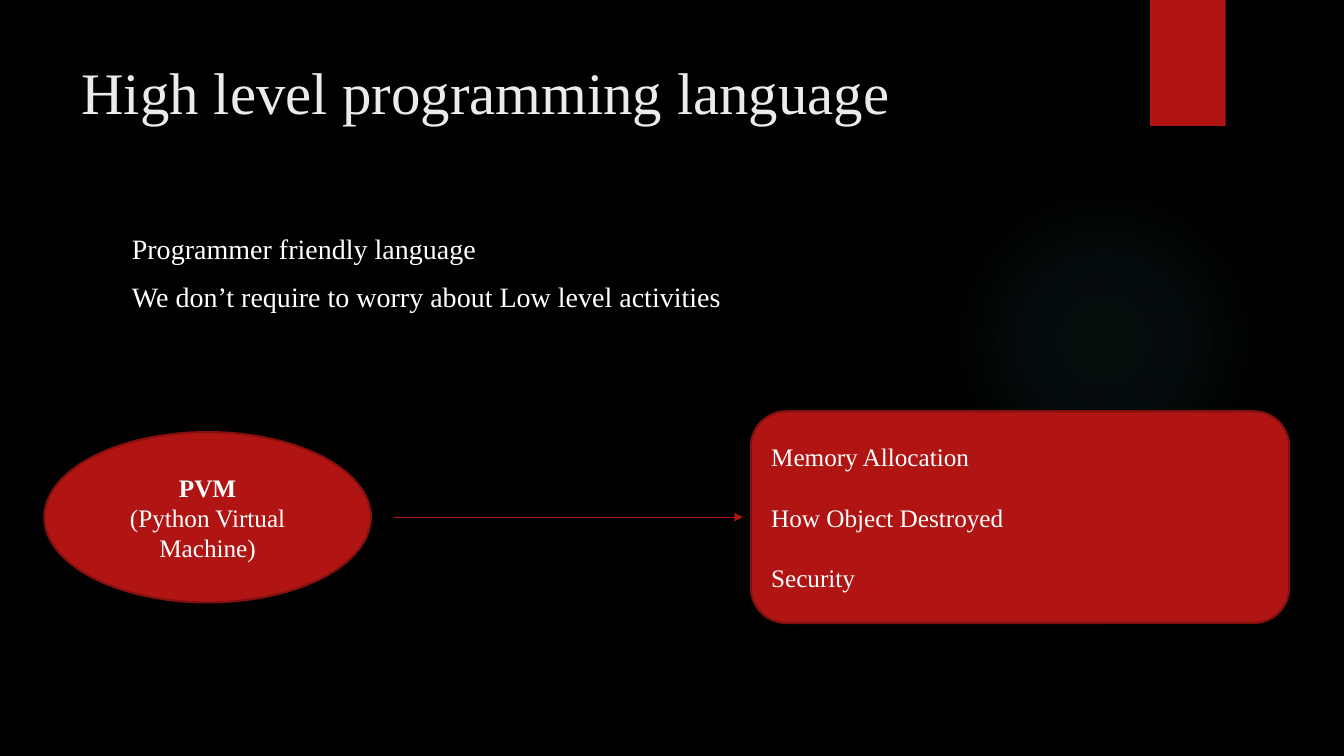
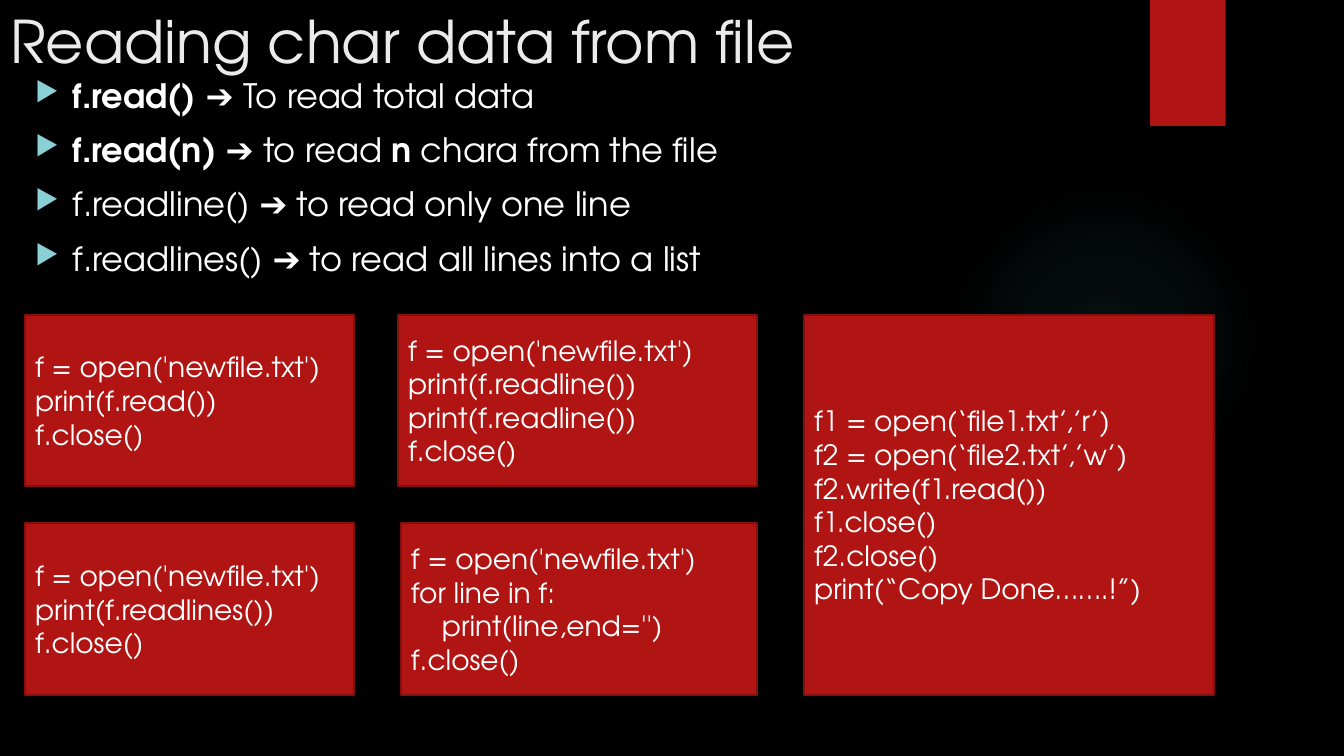
"""Build two dark slides about Python as a language and reading text files."""
from dataclasses import dataclass

from pptx import Presentation
from pptx.dml.color import RGBColor
from pptx.enum.shapes import MSO_CONNECTOR, MSO_SHAPE
from pptx.enum.text import MSO_ANCHOR, MSO_AUTO_SIZE, PP_ALIGN
from pptx.oxml import parse_xml
from pptx.oxml.ns import nsdecls, qn
from pptx.util import Pt


@dataclass(frozen=True)
class Theme:
    """Colours, fonts and type sizes of the presentation."""
    background: str = "000000"
    accent: str = "B01513"
    outline: str = "82100E"
    glow: str = "50B9C1"
    bullet: str = "8AD0D6"
    title: str = "EBEBEB"
    text: str = "FFFFFF"
    serif: str = "Times New Roman"
    sans: str = "TeX Gyre Adventor"
    title_size: int = 42
    list_size: int = 24
    body_size: int = 20
    label_size: int = 18


THEME = Theme()


def rgb(value):
    """Return the colour for a hex string."""
    return RGBColor.from_string(value)


def drawing(markup):
    """Return an element in the drawing namespace."""
    name, rest = markup.split(" ", 1)
    return parse_xml(f"{name} {nsdecls('a')} {rest}")


def style_font(font, name, size, color):
    """Set the face, size and colour of a font."""
    font.name, font.size = name, Pt(size)
    font.color.rgb = rgb(color)


def add_bullet(paragraph):
    """Give a paragraph a hanging triangle bullet."""
    properties = paragraph._p.get_or_add_pPr()
    properties.set("marL", str(Pt(27)))
    properties.set("indent", str(-Pt(27)))
    for markup in (
        f'<a:buClr ><a:srgbClr val="{THEME.bullet}"/></a:buClr>',
        '<a:buSzPct val="80000"/>',
        '<a:buChar char="▶"/>',
    ):
        properties.append(drawing(markup))


def write(shape, lines, face, size, gap=0, align=PP_ALIGN.LEFT, bullets=False,
          anchor=MSO_ANCHOR.TOP):
    """Write one paragraph per line; text between double stars is bold."""
    frame = shape.text_frame
    frame.word_wrap = True
    frame.vertical_anchor = anchor
    frame.text = "\n".join(lines)
    for index, (paragraph, line) in enumerate(zip(frame.paragraphs, lines)):
        if bullets:
            add_bullet(paragraph)
        paragraph.alignment = align
        if index:
            paragraph.space_before = Pt(gap)
        if "**" in line:
            paragraph.clear()
            for position, part in enumerate(line.split("**")):
                if part:
                    run = paragraph.add_run()
                    run.text = part
                    run.font.bold = position % 2 == 1
        for run in paragraph.runs:
            style_font(run.font, face, size, THEME.text)


def add_panel(slide, kind, box, outline=THEME.outline):
    """Add a red shape with an optional outline."""
    shape = slide.shapes.add_shape(kind, *map(Pt, box))
    shape.shadow.inherit = False
    shape.fill.solid()
    shape.fill.fore_color.rgb = rgb(THEME.accent)
    if outline:
        shape.line.color.rgb = rgb(outline)
        shape.line.width = Pt(1.5)
    else:
        shape.line.fill.background()
    return shape


def add_glow(slide, box):
    """Add a faint circle that fades outwards."""
    shape = add_panel(slide, MSO_SHAPE.OVAL, box, outline=None)
    stops = "".join(
        f'<a:gs pos="{place * 1000}"><a:srgbClr val="{THEME.glow}">'
        f'<a:alpha val="{alpha * 1000}"/></a:srgbClr></a:gs>'
        for place, alpha in ((0, 7), (36, 6), (69, 0)))
    gradient = drawing(
        f'<a:gradFill rotWithShape="1"><a:gsLst>{stops}</a:gsLst><a:path path="circle">'
        '<a:fillToRect l="50000" t="50000" r="50000" b="50000"/></a:path></a:gradFill>')
    properties = shape.element.spPr
    properties.replace(properties.find(qn("a:solidFill")), gradient)
    return shape


def add_arrow(slide, start, end):
    """Add a thin red arrow between two points."""
    connector = slide.shapes.add_connector(MSO_CONNECTOR.STRAIGHT, *map(Pt, start + end))
    connector.line.color.rgb = rgb(THEME.accent)
    connector.line.width = Pt(0.75)
    properties = connector.element.spPr
    properties.find(qn("a:ln")).append(drawing('<a:tailEnd type="triangle"/>'))
    properties.append(drawing("<a:effectLst />"))


def add_text(slide, box, lines, face, size, **options):
    """Add a text box."""
    write(slide.shapes.add_textbox(*map(Pt, box)), lines, face, size, **options)


def add_title_slide(presentation, layout, title, face, box):
    """Add a slide with a placed and formatted title."""
    slide = presentation.slides.add_slide(layout)
    shape = slide.shapes.title
    shape.left, shape.top, shape.width, shape.height = map(Pt, box)
    frame = shape.text_frame
    frame.text = title
    frame.auto_size = MSO_AUTO_SIZE.NONE
    frame.vertical_anchor = MSO_ANCHOR.TOP
    paragraph = frame.paragraphs[0]
    paragraph.alignment = PP_ALIGN.LEFT
    style_font(paragraph.runs[0].font, face, THEME.title_size, THEME.title)
    return slide


def decorate_layout(layout, slide):
    """Give the layout its background, glow and red tab."""
    layout.background.fill.solid()
    layout.background.fill.fore_color.rgb = rgb(THEME.background)
    glow = add_glow(slide, (677.5, 131.8, 221.8, 221.8))
    tab = add_panel(slide, MSO_SHAPE.RECTANGLE, (821.5, 0, 54, 90), outline=None)
    for number, shape in enumerate((glow, tab), start=100):
        shape.element.nvSpPr.cNvPr.set("id", str(number))
        layout.shapes.element.append(shape.element)


def fill_language_slide(slide):
    """Show what the virtual machine takes care of."""
    add_text(slide, (87.1, 162, 704, 330.5), [
        "Programmer friendly language",
        "We don’t require to worry about Low level activities",
    ], THEME.serif, THEME.body_size, gap=10)
    machine = add_panel(slide, MSO_SHAPE.OVAL, (31.7, 308.6, 233.3, 121.7))
    write(machine, ["**PVM**", "(Python Virtual Machine)"], THEME.serif,
          THEME.label_size, align=PP_ALIGN.CENTER, anchor=MSO_ANCHOR.MIDDLE)
    duties = add_panel(slide, MSO_SHAPE.ROUNDED_RECTANGLE, (536.4, 293.8, 384.5, 151.2))
    write(duties, ["Memory Allocation", "How Object Destroyed", "Security"],
          THEME.serif, THEME.label_size, gap=21.5, anchor=MSO_ANCHOR.MIDDLE)
    add_arrow(slide, (281.5, 369.4), (530.6, 369.4))


def fill_reading_slide(slide):
    """List the reading methods above their code samples."""
    add_text(slide, (18, 49.7, 942, 472.3), [
        "**f.read() ➔ **To read total data",
        "**f.read(n) ➔ **to read **n **chara from the file",
        "f.readline() ➔ to read only one line",
        "f.readlines() ➔ to read all lines into a list",
    ], THEME.sans, THEME.list_size, gap=10, bullets=True)
    top, height, pitch = 224.8, 122.4, 149
    opening, closing = "f = open('newfile.txt')", "f.close()"
    samples = [
        (18, 234.7, 0, 1, [opening, "print(f.read())", closing]),
        (284.4, 256.3, 0, 1,
         [opening, "print(f.readline())", "print(f.readline())", closing]),
        (18, 234.7, 1, 1, [opening, "print(f.readlines())", closing]),
        (286.5, 254.2, 1, 1,
         [opening, "for line in f:", "    print(line,end='')", closing]),
        (574.5, 292.6, 0, 2, [
            "f1 = open(‘file1.txt’,’r’)",
            "f2 = open(‘file2.txt’,’w’)",
            "f2.write(f1.read())",
            "f1.close()",
            "f2.close()",
            "print(“Copy Done…….!”)",
        ]),
    ]
    for left, width, row, span, code in samples:
        box = (left, top + row * pitch, width, height + (span - 1) * pitch)
        panel = add_panel(slide, MSO_SHAPE.RECTANGLE, box)
        write(panel, code, THEME.sans, THEME.body_size, anchor=MSO_ANCHOR.MIDDLE)


def main():
    """Build and save the presentation."""
    presentation = Presentation()
    presentation.slide_width, presentation.slide_height = Pt(960), Pt(540)
    layout = presentation.slide_layouts[5]
    language = add_title_slide(presentation, layout, "High level programming language",
                               THEME.serif, (51, 36, 741, 110))
    decorate_layout(layout, language)
    fill_language_slide(language)
    reading = add_title_slide(presentation, layout, "Reading char data from file",
                              THEME.sans, (0, 0, 741, 59))
    fill_reading_slide(reading)
    presentation.save("out.pptx")


if __name__ == "__main__":
    main()
